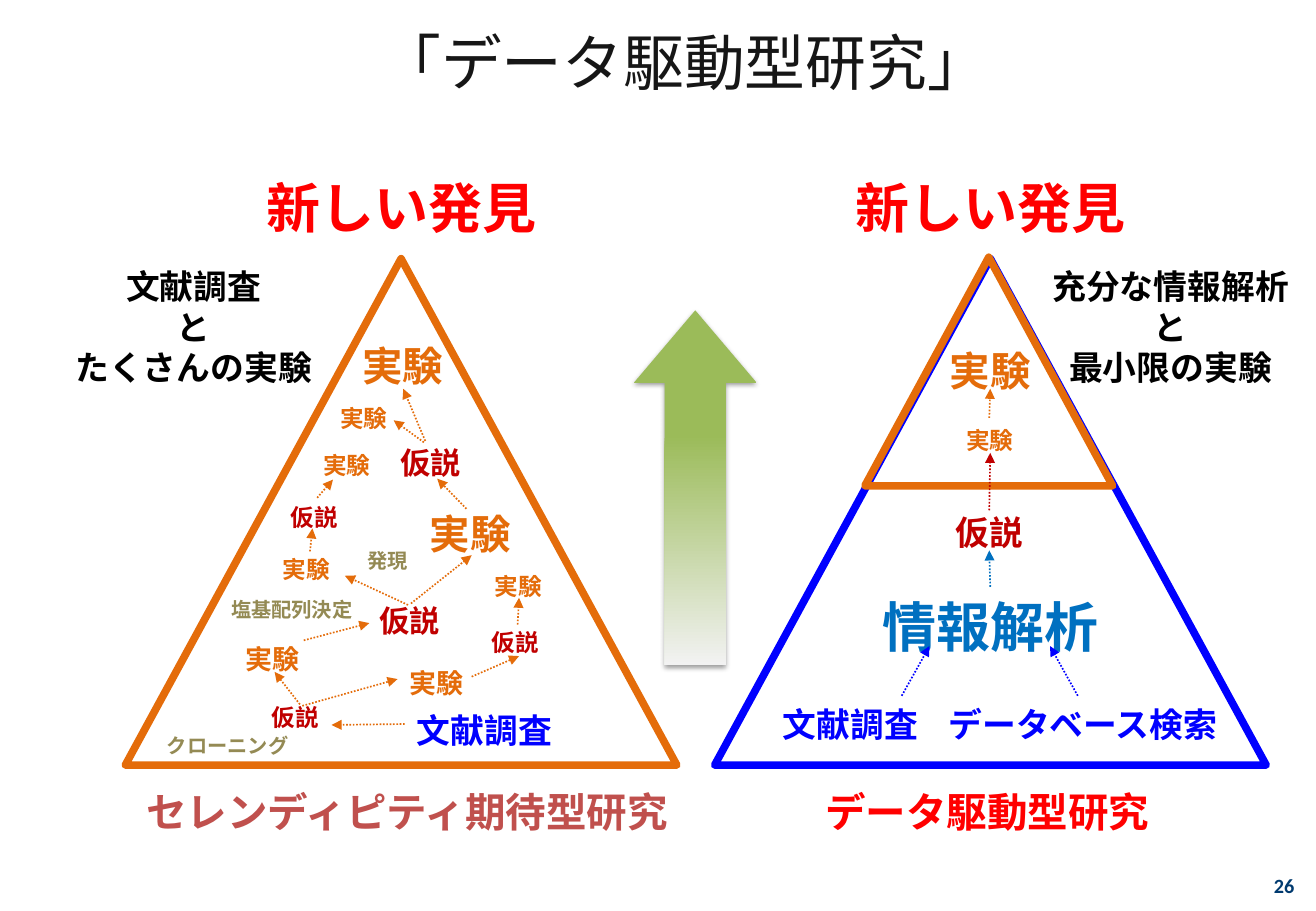
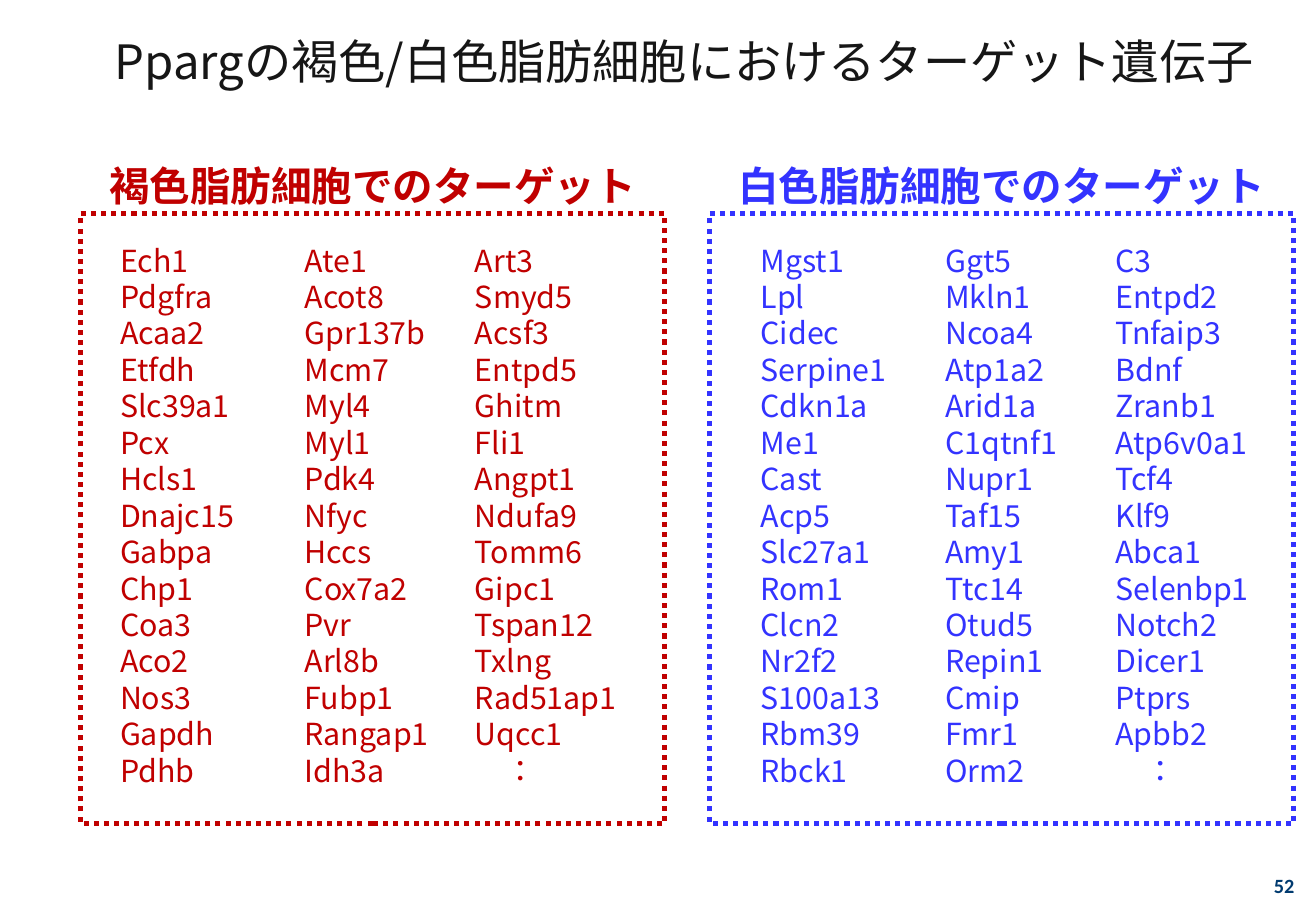
from dataclasses import dataclass

from lxml import etree
from pptx import Presentation
from pptx import util as u
from pptx.dml.color import RGBColor
from pptx.enum import dml, shapes, text
from pptx.oxml import ns


@dataclass(frozen=True)
class Theme:
    face: str = "Noto Sans CJK JP"
    digit: str = "Calibri"
    ink: str = "161616"
    black: str = "000000"
    navy: str = "003A6F"
    red: str = "FF0000"
    dark: str = "C00000"
    rose: str = "C0504D"
    orange: str = "E46C0A"
    olive: str = "948A54"
    blue: str = "0000FF"
    sky: str = "0070C0"
    violet: str = "3333FF"
    green: str = "9BBB59"
    pale: str = "F2F2F2"
    tiny: int = 12
    small: int = 14
    note: int = 16
    body: int = 18
    side: int = 20
    head: int = 24
    sub: int = 28
    large: int = 32
    title: int = 36


T = Theme()
ALIGN = text.PP_ALIGN
PT = 2.54 / 72

LEFT = [
    ("仮説", 9.0, 9.17, T.body, T.dark),
    ("実験", 7.25, 9.3, T.small, T.orange),
    ("塩基配列決定", 6.1, 12.37, T.tiny, T.olive),
    ("仮説", 8.57, 12.47, T.body, T.dark),
    ("実験", 9.13, 13.82, T.note, T.orange),
    ("文献調査", 10.13, 14.71, T.side, T.blue),
    ("実験", 5.7, 13.31, T.note, T.orange),
    ("実験", 9.83, 10.52, T.head, T.orange),
    ("実験", 8.42, 7.01, T.head, T.orange),
    ("実験", 6.41, 11.48, T.small, T.orange),
    ("発現", 8.1, 11.35, T.tiny, T.olive),
    ("仮説", 6.18, 14.58, T.small, T.dark),
    ("クローニング", 4.76, 15.21, T.tiny, T.olive),
    ("実験", 7.61, 8.33, T.small, T.orange),
    ("実験", 10.83, 11.84, T.small, T.orange),
    ("仮説", 10.78, 13.0, T.small, T.dark),
    ("仮説", 6.57, 10.39, T.small, T.dark),
]

RIGHT = [
    ("情報解析", 20.7, 12.29, T.large, T.sky),
    ("仮説", 20.68, 10.57, T.side, T.dark),
    ("実験", 20.7, 7.11, T.head, T.orange),
    ("文献調査", 17.78, 14.6, T.side, T.blue),
    ("データベース検索", 22.64, 14.6, T.side, T.blue),
    ("実験", 20.69, 8.79, T.small, T.orange),
]

AROUND = [
    ("新しい発見", 8.39, 3.53, T.large, T.red),
    ("新しい発見", 20.71, 3.53, T.large, T.red),
    ("セレンディピティ期待型研究", 8.51, 16.33, T.head, T.rose),
    ("データ駆動型研究", 20.64, 16.33, T.head, T.red),
    ("文献調査\nと\nたくさんの実験", 4.05, 5.44, T.side, T.black),
    ("充分な情報解析\nと\n最小限の実験", 24.47, 5.44, T.side, T.black),
]

STEPS = [
    (6.27, 14.73, 5.74, 14.05),
    (6.35, 13.39, 7.72, 13.03),
    (8.59, 12.62, 9.86, 11.61),
    (6.32, 14.76, 8.31, 14.2),
    (8.46, 15.14, 6.93, 15.16),
    (9.75, 10.64, 9.14, 10.01),
    (8.86, 9.25, 8.23, 8.79),
    (8.53, 12.65, 7.21, 12.04),
    (8.89, 9.22, 8.43, 8.13),
    (6.48, 11.53, 6.53, 11.05),
    (10.82, 13.06, 10.85, 12.5),
    (9.86, 14.15, 10.85, 13.72),
    (6.63, 10.41, 6.96, 10.03),
    (20.68, 8.74, 20.7, 8.13),
]

LINKS = [
    (20.7, 12.27, 20.68, 11.51, T.sky),
    (20.68, 10.67, 20.7, 9.47, T.dark),
    (22.53, 14.55, 21.95, 13.51, T.blue),
    (18.85, 14.55, 19.43, 13.51, T.blue),
]

BROWN = [
    "Ech1 Pdgfra Acaa2 Etfdh Slc39a1 Pcx Hcls1 Dnajc15 Gabpa Chp1 Coa3 Aco2 Nos3 Gapdh Pdhb",
    "Ate1 Acot8 Gpr137b Mcm7 Myl4 Myl1 Pdk4 Nfyc Hccs Cox7a2 Pvr Arl8b Fubp1 Rangap1 Idh3a",
    "Art3 Smyd5 Acsf3 Entpd5 Ghitm Fli1 Angpt1 Ndufa9 Tomm6 Gipc1 Tspan12 Txlng Rad51ap1 Uqcc1 　：",
]

WHITE = [
    "Mgst1 Lpl Cidec Serpine1 Cdkn1a Me1 Cast Acp5 Slc27a1 Rom1 Clcn2 Nr2f2 S100a13 Rbm39 Rbck1",
    "Ggt5 Mkln1 Ncoa4 Atp1a2 Arid1a C1qtnf1 Nupr1 Taf15 Amy1 Ttc14 Otud5 Repin1 Cmip Fmr1 Orm2",
    "C3 Entpd2 Tnfaip3 Bdnf Zranb1 Atp6v0a1 Tcf4 Klf9 Abca1 Selenbp1 Notch2 Dicer1 Ptprs Apbb2 　：",
]


def rgb(code):
    return RGBColor.from_string(code)


def box(*cms):
    return [u.Cm(n) for n in cms]


def add(node, tag, **attrs):
    return etree.SubElement(node, ns.qn(tag), attrs)


def style(frame, words, size, color, bold=True, align=ALIGN.CENTER, face=T.face):
    frame.text = words
    for para in frame.paragraphs:
        para.alignment = align
        for run in para.runs:
            font = run.font
            font.size, font.bold, font.name = u.Pt(size), bold, face
            font.color.rgb = rgb(color)
            add(run.font._element, "a:ea", typeface=face)


def label(slide, words, mid, top, size, color):
    lines = words.split("\n")
    wide = max(map(len, lines)) * size * PT + 0.51
    high = len(lines) * size * 1.2 * PT + 0.25
    frame = slide.shapes.add_textbox(*box(mid - wide / 2, top, wide, high)).text_frame
    frame.word_wrap = False
    frame.auto_size = text.MSO_AUTO_SIZE.SHAPE_TO_FIT_TEXT
    style(frame, words, size, color)


def column(slide, names, left, color):
    frame = slide.shapes.add_textbox(*box(left, 4.93, 3.7, 11.79)).text_frame
    frame.word_wrap = True
    style(frame, "\n".join(names.split(" ")), T.body, color, False, ALIGN.LEFT)


def shape(slide, kind, area, color=None, width=0):
    item = slide.shapes.add_shape(kind, *box(*area))
    item.shadow.inherit = False
    item.fill.background()
    if color:
        item.line.color.rgb = rgb(color)
        item.line.width = u.Pt(width)
    else:
        item.line.fill.background()
    return item


def arrow(slide, ends, color):
    item = slide.shapes.add_connector(shapes.MSO_CONNECTOR.STRAIGHT, *box(*ends))
    item.line.color.rgb = rgb(color)
    item.line.width = u.Pt(1)
    item.line.dash_style = dml.MSO_LINE.ROUND_DOT
    add(item.line._get_or_add_ln(), "a:tailEnd", type="triangle")
    add(item._element.spPr, "a:effectLst")


def rise(slide):
    item = shape(slide, shapes.MSO_SHAPE.UP_ARROW, (13.25, 6.49, 2.57, 7.42))
    item.adjustments[0], item.adjustments[1] = 0.5, 0.59
    item.fill.gradient()
    item.fill.gradient_angle = 270
    for stop, place, color in zip(item.fill.gradient_stops, (0.35, 1), (T.green, T.pale)):
        stop.position = place
        stop.color.rgb = rgb(color)
    glow = item._element.spPr.find(ns.qn("a:effectLst"))
    cast = add(glow, "a:outerShdw", blurRad=str(u.Pt(3.1)), dist=str(u.Pt(1.6)),
               dir="5400000", rotWithShape="0")
    add(add(cast, "a:srgbClr", val=T.black), "a:alpha", val="38000")


def start(deck, words, size, page):
    slide = deck.slides.add_slide(deck.slide_layouts[5])
    title = slide.shapes.title
    title.left, title.top, title.width, title.height = box(2.1, 0, 24.4, 2.54)
    title.text_frame.vertical_anchor = text.MSO_ANCHOR.MIDDLE
    style(title.text_frame, words, size, T.ink, False)
    frame = slide.shapes.add_textbox(*box(26.09, 18.01, 1.22, 1.02)).text_frame
    frame.word_wrap = True
    frame.vertical_anchor = text.MSO_ANCHOR.MIDDLE
    style(frame, page, T.tiny, T.navy, True, ALIGN.RIGHT, T.digit)
    return slide


def research(deck):
    slide = start(deck, "「データ駆動型研究」", T.title, "26")
    for area, color in (
        ((2.62, 5.41, 11.53, 10.59), T.orange),
        ((14.94, 5.41, 11.53, 10.59), T.blue),
        ((18.08, 5.38, 5.18, 4.78), T.orange),
    ):
        shape(slide, shapes.MSO_SHAPE.ISOSCELES_TRIANGLE, area, color, 4.5)
    rise(slide)
    for item in AROUND + LEFT + RIGHT:
        label(slide, *item)
    for ends in STEPS:
        arrow(slide, ends, T.orange)
    for *ends, color in LINKS:
        arrow(slide, ends, color)


def genes(deck):
    slide = start(deck, "Ppargの褐色/白色脂肪細胞におけるターゲット遺伝子", T.sub, "52")
    for words, left, first, lists, color in (
        ("褐色脂肪細胞でのターゲット", 1.68, 2.26, BROWN, T.dark),
        ("白色脂肪細胞でのターゲット", 14.83, 15.65, WHITE, T.violet),
    ):
        frame = shape(slide, shapes.MSO_SHAPE.RECTANGLE, (left, 4.47, 12.22, 12.75), color, 3)
        frame.line.dash_style = dml.MSO_LINE.ROUND_DOT
        label(slide, words, left + 6.11, 3.25, T.head, color)
        for step, names in zip((0, 3.86, 7.42), lists):
            column(slide, names, first + step, color)


def main():
    deck = Presentation()
    deck.slide_width, deck.slide_height = box(27.51, 19.05)
    research(deck)
    genes(deck)
    deck.save("out.pptx")


if __name__ == "__main__":
    main()
